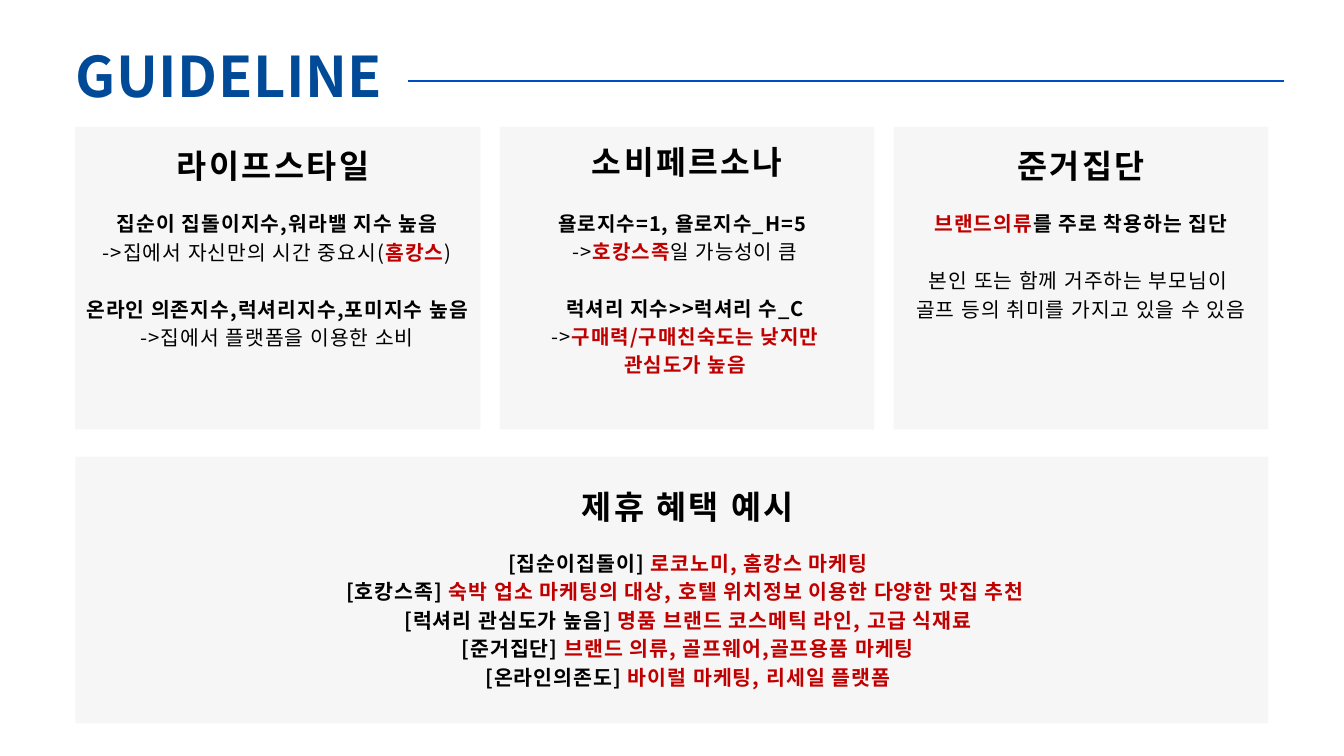
"""Build the GUIDELINE slide: three persona cards above a wide benefits card."""
from dataclasses import dataclass
from typing import NamedTuple

import pptx
import pptx.dml.color
import pptx.enum.shapes
import pptx.enum.text
import pptx.oxml
import pptx.oxml.ns
import pptx.util

Inches, Pt = pptx.util.Inches, pptx.util.Pt
CENTER, LEFT = pptx.enum.text.PP_ALIGN.CENTER, pptx.enum.text.PP_ALIGN.LEFT


@dataclass(frozen=True)
class Theme:
    font: str = "Noto Sans CJK KR"
    ink: str = "000000"
    accent: str = "C00000"
    title: str = "004A98"
    rule: str = "004CC7"
    card: str = "F6F6F6"
    title_pt: float = 60
    heading_pt: float = 35
    body_pt: float = 21.8


@dataclass(frozen=True)
class Grid:
    left: float = 1.12
    gap: float = 0.29
    widths: tuple[float, ...] = (6.03, 5.57, 5.57)
    tops: tuple[float, ...] = (1.89, 6.8)
    heights: tuple[float, ...] = (4.5, 3.96)

    def x(self, col: int) -> float:
        return self.left + sum(self.widths[:col]) + self.gap * col

    def width(self, col: int, span: int) -> float:
        return sum(self.widths[col:col + span]) + self.gap * (span - 1)


class Box(NamedTuple):
    left: float
    top: float
    width: float
    height: float


class Run(NamedTuple):
    text: str
    color: str
    bold: bool = True


class Line(NamedTuple):
    runs: tuple[Run, ...]
    new_block: bool = False


class Style(NamedTuple):
    size: float
    pitch: float
    tracking: float
    align: int = CENTER


class Card(NamedTuple):
    col: int
    row: int
    span: int
    heading: str
    lines: tuple[Line, ...]
    heading_style: Style
    body_style: Style
    heading_dy: float = 0.26
    body_dy: float = 1.2
    heading_dx: float = 0
    body_dx: float = 0


THEME = Theme()
GRID = Grid()
TITLE = Style(THEME.title_pt, 72, 0.7, LEFT)
HEADING = Style(THEME.heading_pt, 43.8, 2.6)
BODY = Style(THEME.body_pt, 30.4, 1.1)


def ink(text: str) -> Run:
    return Run(text, THEME.ink)


def red(text: str) -> Run:
    return Run(text, THEME.accent)


def plain(text: str) -> Run:
    return Run(text, THEME.ink, False)


def line(*runs: Run, new_block: bool = False) -> Line:
    return Line(runs, new_block)


def benefit(group: str, offer: str) -> Line:
    return line(ink(f"[{group}] "), red(offer))


CARDS = (
    Card(0, 0, 1, "라이프스타일", (
        line(ink("집순이 집돌이지수,워라밸 지수 높음")),
        line(plain("->집에서 자신만의 시간 중요시("), red("홈캉스"), plain(")")),
        line(ink("온라인 의존지수,럭셔리지수,포미지수 높음"), new_block=True),
        line(plain("->집에서 플랫폼을 이용한 소비")),
    ), HEADING, BODY, heading_dx=-0.07, body_dx=-0.01),
    Card(1, 0, 1, "소비페르소나", (
        line(ink("욜로지수=1, 욜로지수_H=5 ")),
        line(plain("->"), red("호캉스족"), plain("일 가능성이 큼")),
        line(ink("럭셔리 지수>>럭셔리 수_C"), new_block=True),
        line(plain(" ->"), red("구매력/구매친숙도는 낮지만 ")),
        line(red("관심도가 높음")),
    ), Style(34.6, 43.2, 2.6), Style(21.5, 30.1, 1.1), heading_dy=0.21, body_dx=-0.03),
    Card(2, 0, 1, "준거집단", (
        line(red("브랜드의류"), ink("를 주로 착용하는 집단")),
        line(plain("본인 또는 함께 거주하는 부모님이 "), new_block=True),
        line(plain("골프 등의 취미를 가지고 있을 수 있음")),
    ), HEADING, BODY),
    Card(0, 1, 3, "제휴 혜택 예시", (
        benefit("집순이집돌이", "로코노미, 홈캉스 마케팅"),
        benefit("호캉스족", "숙박 업소 마케팅의 대상, 호텔 위치정보 이용한 다양한 맛집 추천 "),
        benefit("럭셔리 관심도가 높음", "명품 브랜드 코스메틱 라인, 고급 식재료"),
        benefit("준거집단", "브랜드 의류, 골프웨어,골프용품 마케팅"),
        benefit("온라인의존도", "바이럴 마케팅, 리세일 플랫폼"),
    ), HEADING, Style(22, 30.5, 1.1), 0.42, 1.34, 0.24, 0.24),
)


def rgb(color: str) -> pptx.dml.color.RGBColor:
    return pptx.dml.color.RGBColor.from_string(color)


def emu(*lengths: float) -> list[int]:
    return [Inches(length) for length in lengths]


def write(tf, lines: tuple[Line, ...], style: Style) -> None:
    tf.word_wrap = True
    tf.auto_size = pptx.enum.text.MSO_AUTO_SIZE.NONE
    tf.vertical_anchor = pptx.enum.text.MSO_ANCHOR.TOP
    tf.margin_left = tf.margin_top = tf.margin_right = tf.margin_bottom = 0
    for i, item in enumerate(lines):
        p = tf.add_paragraph() if i else tf.paragraphs[0]
        p.alignment, p.line_spacing = style.align, Pt(style.pitch)
        p.space_before = Pt(style.pitch if item.new_block else 0)
        p.font.name, p.font.size = THEME.font, Pt(style.size)
        props = p._p.pPr.find(pptx.oxml.ns.qn("a:defRPr"))
        props.set("spc", str(round(style.tracking * 100)))
        latin = props.find(pptx.oxml.ns.qn("a:latin"))
        latin.addnext(pptx.oxml.parse_xml(
            f'<a:ea {pptx.oxml.ns.nsdecls("a")} typeface="{THEME.font}"/>'))
        for run in item.runs:
            r = p.add_run()
            r.text, r.font.bold = run.text, run.bold
            r.font.color.rgb = rgb(run.color)


def add_text(s, box: Box, lines: tuple[Line, ...], style: Style) -> None:
    write(s.shapes.add_textbox(*emu(*box)).text_frame, lines, style)


def add_card(s, card: Card) -> None:
    left, top = GRID.x(card.col), GRID.tops[card.row]
    width, height = GRID.width(card.col, card.span), GRID.heights[card.row]
    sp = s.shapes.add_shape(pptx.enum.shapes.MSO_SHAPE.RECTANGLE, *emu(left, top, width, height))
    sp.shadow.inherit = False
    sp.fill.solid()
    sp.fill.fore_color.rgb = rgb(THEME.card)
    sp.line.fill.background()
    add_text(s, Box(left + card.heading_dx, top + card.heading_dy, width, 0.58),
             (line(ink(card.heading)),), card.heading_style)
    blocks = len(card.lines) + sum(item.new_block for item in card.lines)
    add_text(s, Box(left + card.body_dx, top + card.body_dy, width,
                    blocks * card.body_style.pitch / 72), card.lines, card.body_style)


def add_header(s) -> None:
    sp = s.shapes.title
    sp.left, sp.top, sp.width, sp.height = emu(GRID.left, 0.62, 4.94, 1.01)
    write(sp.text_frame, (line(Run("GUIDELINE", THEME.title)),), TITLE)
    rule = s.shapes.add_connector(pptx.enum.shapes.MSO_CONNECTOR.STRAIGHT,
                                  *emu(6.07, 1.21, 19.11, 1.21))
    rule.line.color.rgb, rule.line.width = rgb(THEME.rule), Pt(2.25)
    rule._element.spPr.append(pptx.oxml.parse_xml(
        f'<a:effectLst {pptx.oxml.ns.nsdecls("a")}/>'))


def main() -> None:
    prs = pptx.Presentation()
    prs.slide_width, prs.slide_height = emu(20, 11.25)
    s = prs.slides.add_slide(prs.slide_layouts[5])
    add_header(s)
    for card in CARDS:
        add_card(s, card)
    prs.save("out.pptx")


if __name__ == "__main__":
    main()
